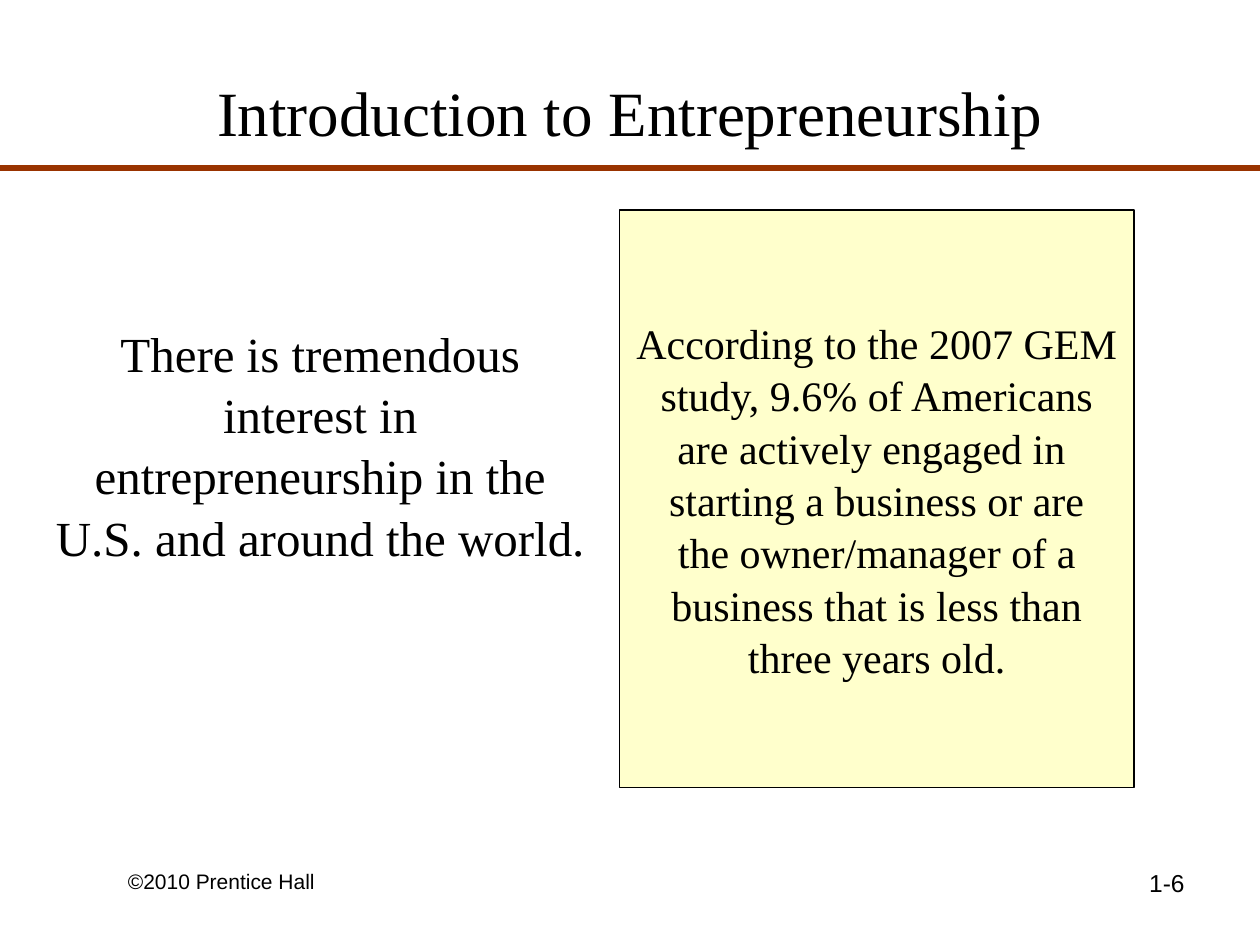
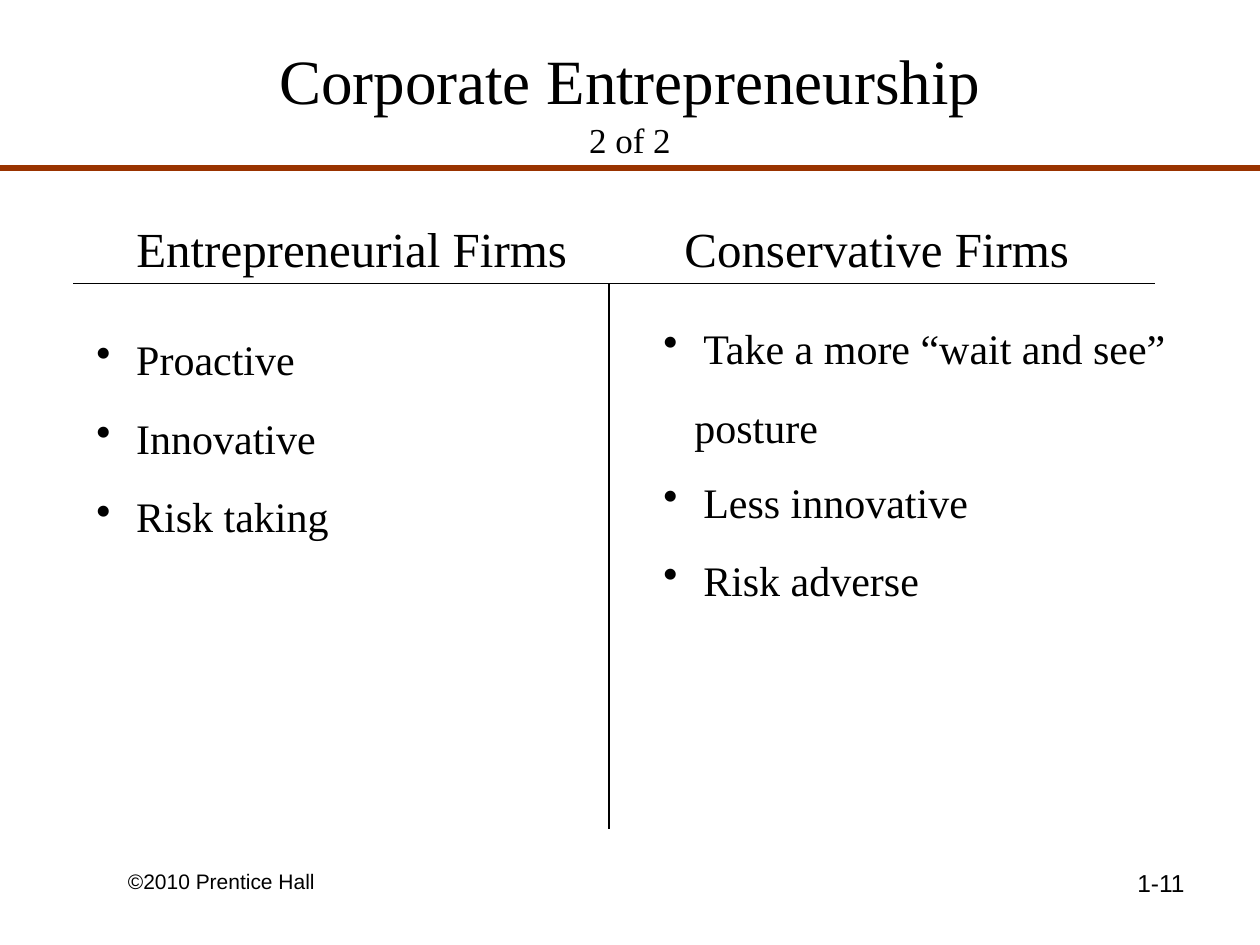
from dataclasses import dataclass

from lxml.etree import SubElement
from pptx import Presentation
from pptx.dml.color import RGBColor
from pptx.enum.shapes import MSO_CONNECTOR, MSO_SHAPE
from pptx.enum.text import MSO_ANCHOR, PP_ALIGN
from pptx.oxml.ns import qn
from pptx.shapes.base import BaseShape
from pptx.slide import Slide
from pptx.util import Pt


@dataclass(frozen=True)
class Theme:
    black: RGBColor = RGBColor(0x00, 0x00, 0x00)
    rust: RGBColor = RGBColor(0x99, 0x33, 0x00)
    cream: RGBColor = RGBColor(0xFF, 0xFF, 0xCC)
    serif: str = "Times New Roman"
    sans: str = "Arial"
    title: float = 36
    subtitle: float = 20
    heading: float = 28
    body: float = 24
    page_number: float = 14
    copyright: float = 12
    thin: float = 0.75
    thick: float = 3
    line_spacing: float = 1.04


THEME = Theme()
SLIDE_WIDTH, SLIDE_HEIGHT = 720, 540


@dataclass(frozen=True)
class Box:
    left: float
    top: float
    width: float
    height: float


@dataclass(frozen=True)
class Line:
    text: str
    size: float = THEME.body
    font: str = THEME.serif
    alignment: PP_ALIGN = PP_ALIGN.CENTER
    space_before: float = 0
    bullet: bool = False
    indent: float = 0


@dataclass(frozen=True)
class Rule:
    start: tuple[float, float]
    end: tuple[float, float]
    color: RGBColor = THEME.black
    width: float = THEME.thin


@dataclass(frozen=True)
class Column:
    heading: str
    heading_box: Box
    list_box: Box
    lines: list[Line]


TITLE_RULE = Rule((0, 96), (SLIDE_WIDTH, 96), THEME.rust, THEME.thick)
COPYRIGHT_BOX = Box(66, 492, 168, 19.5)
PAGE_NUMBER_BOX = Box(516, 492, 168, 37.5)


def add_rule(slide: Slide, rule: Rule) -> None:
    points = [Pt(value) for value in (*rule.start, *rule.end)]
    connector = slide.shapes.add_connector(MSO_CONNECTOR.STRAIGHT, *points)
    connector.line.color.rgb = rule.color
    connector.line.width = Pt(rule.width)
    properties = connector.line._get_or_add_ln().getparent()
    SubElement(properties, qn("a:effectLst"))


def write_lines(shape: BaseShape, lines: list[Line],
                anchor: MSO_ANCHOR = MSO_ANCHOR.TOP, wrap: bool = True) -> None:
    frame = shape.text_frame
    frame.word_wrap = wrap
    frame.vertical_anchor = anchor
    for index, line in enumerate(lines):
        paragraph = frame.add_paragraph() if index else frame.paragraphs[0]
        paragraph.text = line.text
        paragraph.alignment = line.alignment
        paragraph.line_spacing = THEME.line_spacing
        paragraph.space_before = Pt(line.space_before if index else 0)
        properties = paragraph._p.get_or_add_pPr()
        properties.set("marL", str(Pt(line.indent)))
        if line.bullet:
            properties.set("indent", str(-Pt(line.indent)))
            SubElement(properties, qn("a:buChar"), char="•")
        paragraph.font.size = Pt(line.size)
        paragraph.font.name = line.font
        paragraph.font.color.rgb = THEME.black


def add_text(slide: Slide, box: Box, lines: list[Line],
             anchor: MSO_ANCHOR = MSO_ANCHOR.TOP) -> None:
    shape = slide.shapes.add_textbox(
        Pt(box.left), Pt(box.top), Pt(box.width), Pt(box.height))
    write_lines(shape, lines, anchor)


def add_panel(slide: Slide, box: Box, lines: list[Line]) -> None:
    panel = slide.shapes.add_shape(
        MSO_SHAPE.RECTANGLE,
        Pt(box.left), Pt(box.top), Pt(box.width), Pt(box.height))
    panel.shadow.inherit = False
    panel.fill.solid()
    panel.fill.fore_color.rgb = THEME.cream
    panel.line.color.rgb = THEME.black
    panel.line.width = Pt(THEME.thin)
    write_lines(panel, lines, MSO_ANCHOR.MIDDLE, wrap=False)


def add_framed_slide(presentation: Presentation, title: list[Line],
                     title_top: float, page_number: str) -> Slide:
    """Add a blank slide with the shared title, rule and footers."""
    slide = presentation.slides.add_slide(presentation.slide_layouts[6])
    add_text(slide, COPYRIGHT_BOX, [
        Line("©2010 Prentice Hall", THEME.copyright, THEME.sans, PP_ALIGN.LEFT)])
    add_text(slide, PAGE_NUMBER_BOX, [
        Line(page_number, THEME.page_number, THEME.sans, PP_ALIGN.RIGHT)])
    add_text(slide, Box(36, title_top, 648, 90), title, MSO_ANCHOR.MIDDLE)
    add_rule(slide, TITLE_RULE)
    return slide


def bullet(text: str, space_before: float = 15) -> Line:
    return Line(text, alignment=PP_ALIGN.LEFT, space_before=space_before,
                bullet=True, indent=22.8)


def build_introduction(presentation: Presentation) -> None:
    title = [Line("Introduction to Entrepreneurship", THEME.title)]
    slide = add_framed_slide(presentation, title, 18, "1-6")
    add_text(slide, Box(24, 180, 318, 142), [
        Line("There is tremendous interest in entrepreneurship in the "
             "U.S. and around the world.", THEME.heading)])
    study = [
        "According to the 2007 GEM",
        "study, 9.6% of Americans",
        "are actively engaged in ",
        "starting a business or are",
        "the owner/manager of a",
        "business that is less than",
        "three years old.",
    ]
    add_panel(slide, Box(354, 120, 294, 330), [Line(text) for text in study])


def build_comparison(presentation: Presentation) -> None:
    title = [Line("Corporate Entrepreneurship", THEME.title),
             Line("2 of 2", THEME.subtitle)]
    slide = add_framed_slide(presentation, title, 12, "1-11")
    add_rule(slide, Rule((348, 162), (348, 474)))
    add_rule(slide, Rule((42, 162), (660, 162)))
    columns = [
        Column("Entrepreneurial Firms", Box(60, 120, 282, 41),
               Box(48, 186, 294, 124),
               [bullet("Proactive"), bullet("Innovative"), bullet("Risk taking")]),
        Column("Conservative Firms", Box(372, 120, 258, 41),
               Box(372, 179.5, 312, 166),
               [bullet("Take a more “wait and see”"),
                Line("posture", alignment=PP_ALIGN.LEFT, space_before=15.5,
                     indent=17.7),
                bullet("Less innovative", space_before=12.5),
                bullet("Risk adverse")]),
    ]
    for column in columns:
        add_text(slide, column.heading_box, [Line(column.heading, THEME.heading)])
        add_text(slide, column.list_box, column.lines)


def main() -> None:
    presentation = Presentation()
    presentation.slide_width = Pt(SLIDE_WIDTH)
    presentation.slide_height = Pt(SLIDE_HEIGHT)
    build_introduction(presentation)
    build_comparison(presentation)
    presentation.save("out.pptx")


if __name__ == "__main__":
    main()
